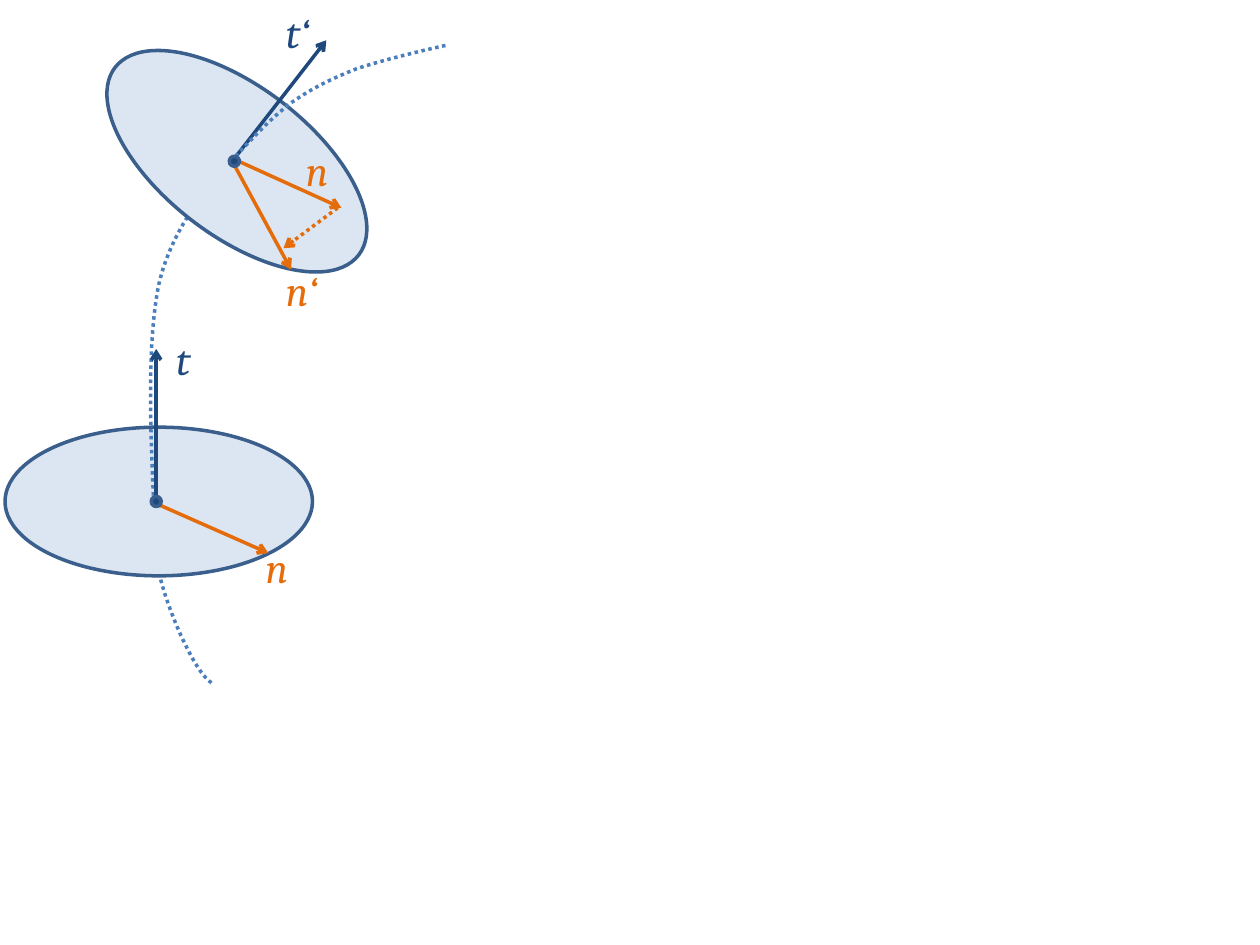
from dataclasses import dataclass

from lxml import etree
from pptx import Presentation
from pptx import util as u
from pptx.dml import color
from pptx.enum import dml, shapes, text
from pptx.oxml import ns

COLORS = {
    "curve": "4B7EBC",
    "disc": "DCE6F2",
    "outline": "3A5F8C",
    "tangent": "1F497D",
    "normal": "E46C0A",
}
LINE_WIDTH = u.Pt(2)
DISC_SIZE = (2.44, 1.18)
DOT_SIZE = (0.08, 0.08)
TILT = 37.6

Point = tuple[float, float]


@dataclass
class Curve:
    start: Point
    controls: list[Point]


@dataclass
class Oval:
    center: Point
    size: Point
    fill: str
    rotation: float = 0


@dataclass
class Arrow:
    start: Point
    end: Point
    color: str
    dotted: bool = False


@dataclass
class Label:
    text: str
    corner: Point
    width: float
    color: str


def rgb(name: str) -> color.RGBColor:
    return color.RGBColor.from_string(COLORS[name])


def style_line(line, name: str, dotted: bool = False) -> None:
    line.color.rgb = rgb(name)
    line.width = LINE_WIDTH
    if dotted:
        line.dash_style = dml.MSO_LINE.ROUND_DOT


def draw_curve(s, curve: Curve) -> None:
    points = [(u.Inches(x), u.Inches(y)) for x, y in curve.controls]
    builder = s.shapes.build_freeform(*(u.Inches(v) for v in curve.start))
    builder.add_line_segments(points, close=False)
    sp = builder.convert_to_shape()
    sp.shadow.inherit = False
    sp.fill.background()
    style_line(sp.line, "curve", dotted=True)
    outline = sp.element.xpath(".//a:path")[0]
    segments = outline.findall(ns.qn("a:lnTo"))
    for i in range(0, len(segments), 3):
        bezier = etree.SubElement(outline, ns.qn("a:cubicBezTo"))
        for segment in segments[i:i + 3]:
            bezier.append(segment[0])
            outline.remove(segment)


def draw_oval(s, oval: Oval) -> None:
    (x, y), (w, h) = oval.center, oval.size
    box = (u.Inches(v) for v in (x - w / 2, y - h / 2, w, h))
    sp = s.shapes.add_shape(shapes.MSO_SHAPE.OVAL, *box)
    sp.shadow.inherit = False
    sp.rotation = oval.rotation
    sp.fill.solid()
    sp.fill.fore_color.rgb = rgb(oval.fill)
    style_line(sp.line, "outline")


def draw_arrow(s, arrow: Arrow) -> None:
    ends = (u.Inches(v) for v in (*arrow.start, *arrow.end))
    sp = s.shapes.add_connector(shapes.MSO_CONNECTOR.STRAIGHT, *ends)
    style_line(sp.line, arrow.color, arrow.dotted)
    props = sp.element.spPr
    etree.SubElement(props.find(ns.qn("a:ln")), ns.qn("a:tailEnd"), type="arrow")
    etree.SubElement(props, ns.qn("a:effectLst"))


def draw_label(s, label: Label) -> None:
    box = (u.Inches(v) for v in (*label.corner, label.width, 0.5))
    tf = s.shapes.add_textbox(*box).text_frame
    tf.word_wrap = False
    tf.auto_size = text.MSO_AUTO_SIZE.SHAPE_TO_FIT_TEXT
    p = tf.paragraphs[0]
    p.text = label.text
    p.font.name = "Cambria"
    p.font.size = u.Pt(24)
    p.font.italic = True
    p.font.color.rgb = rgb(label.color)


DRAW = {Curve: draw_curve, Oval: draw_oval, Arrow: draw_arrow, Label: draw_label}

FIGURE = [
    Curve((1.24, 3.99), [(1.23, 4.15), (1.22, 4.31), (1.25, 4.48),
                         (1.28, 4.66), (1.36, 4.87), (1.43, 5.03),
                         (1.5, 5.18), (1.59, 5.36), (1.68, 5.42)]),
    Oval((1.26, 3.98), DISC_SIZE, "disc"),
    Curve((1.22, 3.99), [(1.19, 3.35), (1.17, 2.71), (1.26, 2.26),
                         (1.36, 1.82), (1.64, 1.5), (1.79, 1.32)]),
    Arrow((1.24, 4.03), (1.24, 2.77), "tangent"),
    Arrow((1.27, 4.01), (2.13, 4.39), "normal"),
    Label("t", (1.3, 2.6), 0.29, "tangent"),
    Label("n", (2.01, 4.25), 0.37, "normal"),
    Oval((1.24, 3.98), DOT_SIZE, "tangent"),
    Oval((1.88, 1.28), DISC_SIZE, "disc", TILT),
    Arrow((1.82, 1.31), (2.59, 0.32), "tangent"),
    Arrow((1.86, 1.31), (2.31, 2.14), "normal"),
    Label("t‘", (2.17, 0), 0.41, "tangent"),
    Label("n‘", (2.17, 2.05), 0.48, "normal"),
    Curve((1.87, 1.24), [(2.02, 1.08), (2.16, 0.93), (2.32, 0.81),
                         (2.48, 0.7), (2.62, 0.63), (2.82, 0.55),
                         (3.02, 0.48), (3.4, 0.39), (3.54, 0.36)]),
    Arrow((1.85, 1.26), (2.71, 1.65), "normal"),
    Arrow((2.68, 1.65), (2.25, 1.97), "normal", dotted=True),
    Label("n", (2.33, 1.1), 0.37, "normal"),
    Oval((1.86, 1.28), DOT_SIZE, "tangent", TILT),
]

prs = Presentation()
prs.slide_width, prs.slide_height = u.Inches(10), u.Inches(7.5)
s = prs.slides.add_slide(prs.slide_layouts[6])
for item in FIGURE:
    DRAW[type(item)](s, item)
prs.save("out.pptx")
